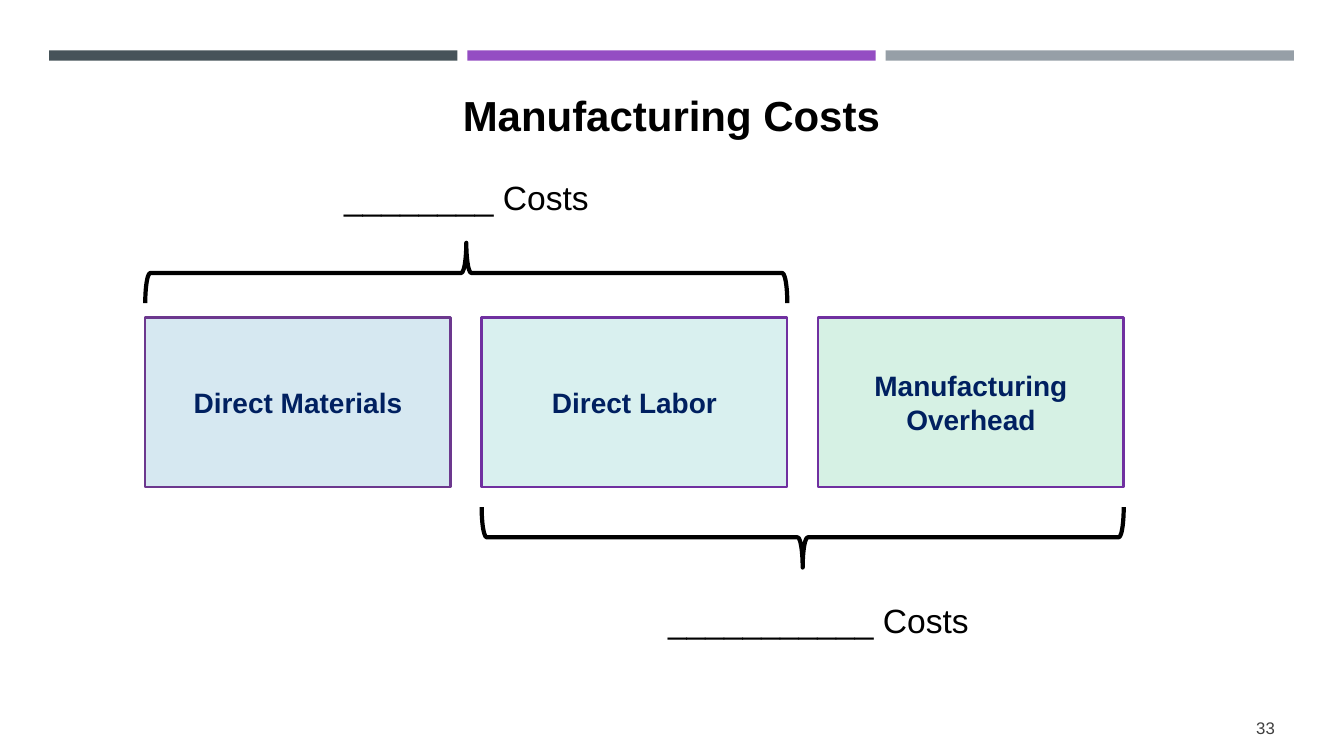
from pptx import Presentation
from pptx.dml.color import RGBColor
from pptx.enum.shapes import MSO_SHAPE
from pptx.enum.text import MSO_ANCHOR, PP_ALIGN
from pptx.util import Cm, Pt

RECTANGLE, LEFT_BRACE = MSO_SHAPE.RECTANGLE, MSO_SHAPE.LEFT_BRACE
TOP, MIDDLE = MSO_ANCHOR.TOP, MSO_ANCHOR.MIDDLE
CENTER, RIGHT = PP_ALIGN.CENTER, PP_ALIGN.RIGHT

COLORS = {
    "slate": "465359", "violet": "944DC3", "gray": "969FA7",
    "blue": "D6E8F1", "teal": "D9F0EF", "green": "D6F1E4",
    "purple": "7030A0", "plum": "6C388E",
    "navy": "002060", "black": "000000", "number": "404040",
}

TITLE = "Manufacturing Costs"
BARS = ["slate", "violet", "gray"]
COSTS = [
    ("Direct Materials", "blue", "plum"),
    ("Direct Labor", "teal", "purple"),
    ("Manufacturing Overhead", "green", "purple"),
]
BRACES = [(0, 6.12, 90), (1, 12.78, 270)]
LABELS = [
    ("________ Costs", (8.53, 4.32, 6.45, 1.27)),
    ("___________ Costs", (16.69, 14.99, 7.87, 1.27)),
]
PAGE_NUMBER = "33"

BAR_LEFT, BAR_TOP, BAR_WIDTH, BAR_HEIGHT, BAR_PITCH = 1.24, 1.27, 10.29, 0.26, 10.54
BOX_LEFT, BOX_TOP, BOX_WIDTH, BOX_HEIGHT, BOX_PITCH = 3.66, 8.0, 7.7, 4.27, 8.53
BOX_PITCH = 8.48
BRACE_SPAN, BRACE_DEPTH = BOX_PITCH + BOX_WIDTH, 1.52

TITLE_FORMAT = {"size": Pt(30), "bold": True}
COST_FORMAT = {"size": Pt(20), "bold": True}
LABEL_FORMAT = {"size": Pt(24), "bold": False}
NUMBER_FORMAT = {"size": Pt(12), "bold": False}


def color(name):
    return RGBColor.from_string(COLORS[name])


def write(shape, text, font_format, color_name, alignment=CENTER, anchor=TOP, wrap=True):
    frame = shape.text_frame
    frame.text = text
    frame_format = {"word_wrap": wrap, "vertical_anchor": anchor}
    for side in ("left", "top", "right", "bottom"):
        frame_format[f"margin_{side}"] = Cm(0.13)
    for name, value in frame_format.items():
        setattr(frame, name, value)
    paragraph = frame.paragraphs[0]
    paragraph.alignment = alignment
    font = paragraph.runs[0].font
    for name, value in {"name": "Arial", **font_format}.items():
        setattr(font, name, value)
    font.color.rgb = color(color_name)


def add_shape(slide, kind, area, fill=None, line=None, width=1.75):
    shape = slide.shapes.add_shape(kind, *map(Cm, area))
    shape.shadow.inherit = False
    if fill:
        shape.fill.solid()
        shape.fill.fore_color.rgb = color(fill)
    else:
        shape.fill.background()
    if line:
        shape.line.color.rgb = color(line)
        shape.line.width = Pt(width)
    else:
        shape.line.fill.background()
    return shape


def main():
    presentation = Presentation()
    presentation.slide_width, presentation.slide_height = Cm(33.87), Cm(19.05)
    slide = presentation.slides.add_slide(presentation.slide_layouts[5])

    for index, fill in enumerate(BARS):
        left = BAR_LEFT + index * BAR_PITCH
        add_shape(slide, RECTANGLE, (left, BAR_TOP, BAR_WIDTH, BAR_HEIGHT), fill)

    title = slide.shapes.title
    title.left, title.top, title.width, title.height = map(Cm, (1.19, 2.13, 31.47, 1.52))
    write(title, TITLE, TITLE_FORMAT, "black")

    for index, (text, fill, line) in enumerate(COSTS):
        left = BOX_LEFT + index * BOX_PITCH
        box = add_shape(slide, RECTANGLE, (left, BOX_TOP, BOX_WIDTH, BOX_HEIGHT), fill, line)
        write(box, text, COST_FORMAT, "navy", anchor=MIDDLE)

    for first_box, top, rotation in BRACES:
        left = BOX_LEFT + first_box * BOX_PITCH + (BRACE_SPAN - BRACE_DEPTH) / 2
        turned_top = top + (BRACE_DEPTH - BRACE_SPAN) / 2
        area = (left, turned_top, BRACE_DEPTH, BRACE_SPAN)
        brace = add_shape(slide, LEFT_BRACE, area, line="black", width=3)
        brace.rotation = rotation

    for text, area in LABELS:
        label = slide.shapes.add_textbox(*map(Cm, area))
        write(label, text, LABEL_FORMAT, "black", wrap=False)

    number = slide.shapes.add_textbox(*map(Cm, (31.5, 17.98, 0.76, 0.74)))
    write(number, PAGE_NUMBER, NUMBER_FORMAT, "number", RIGHT, MIDDLE, False)

    presentation.save("out.pptx")


if __name__ == "__main__":
    main()
